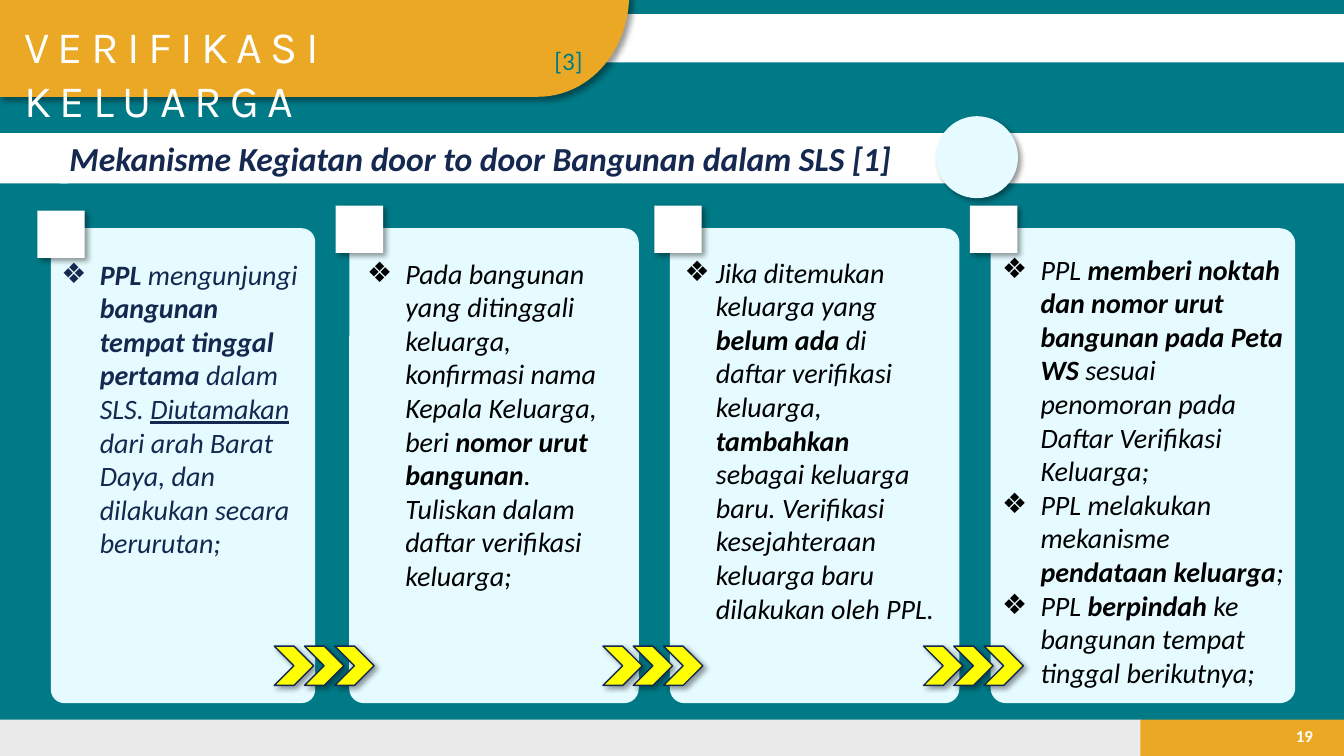
from math import cos, pi, sin

from lxml import etree
from pptx import Presentation
from pptx.dml.color import RGBColor
from pptx.enum.shapes import MSO_SHAPE as SHAPE
from pptx.enum.text import MSO_ANCHOR as ANCHOR, MSO_AUTO_SIZE as AUTO, PP_ALIGN as ALIGN
from pptx.oxml import parse_xml
from pptx.oxml.ns import nsdecls, qn
from pptx.util import Inches, Pt

COLORS = {
    "teal": "017A87", "orange": "EAA824", "gray": "EAEAEA", "white": "FFFFFF",
    "ice": "E5FBFF", "navy": "142850", "yellow": "FFFF00", "black": "000000",
}
RGB = {name: RGBColor.from_string(value) for name, value in COLORS.items()}


def style_shape(sp, fill, line=None, width=1, shadow=False):
    sp.shadow.inherit = False
    sp.fill.solid()
    sp.fill.fore_color.rgb = RGB[fill]
    if line:
        sp.line.color.rgb = RGB[line]
        sp.line.width = Pt(width)
    else:
        sp.line.fill.background()
    if shadow:
        effects = sp.element.spPr.find(qn("a:effectLst"))
        effects.append(parse_xml(
            f'<a:outerShdw {nsdecls("a")} blurRad="{Pt(4)}" dist="{Pt(3)}" dir="2700000" '
            f'algn="tl" rotWithShape="0"><a:srgbClr val="{COLORS["black"]}">'
            '<a:alpha val="40000"/></a:srgbClr></a:outerShdw>'))


def style_text(tf, size, color, font="Calibri", bold=False, italic=False,
               align=ALIGN.LEFT, anchor=ANCHOR.TOP, wrap=True):
    tf.word_wrap = wrap
    tf.auto_size = AUTO.NONE
    tf.vertical_anchor = anchor
    for p in tf.paragraphs:
        p.alignment = align
        for r in p.runs:
            r.font.size = Pt(size)
            r.font.name = font
            r.font.color.rgb = RGB[color]
            r.font.italic = italic
            if bold is not None:
                r.font.bold = bold


prs = Presentation()
prs.slide_width, prs.slide_height = Inches(13.33), Inches(7.5)
s = prs.slides.add_slide(prs.slide_layouts[4])
s.background.fill.solid()
s.background.fill.fore_color.rgb = RGB["teal"]
tree = s.shapes.element
title = s.shapes.title
bodies = [ph for ph in s.placeholders if ph.placeholder_format.idx != 0]

for box, fill in [
    ((11.3, 7.14, 2.03, 0.36), "orange"),
    ((0, 7.14, 11.31, 0.36), "gray"),
    ((5.05, 0.14, 8.28, 0.48), "white"),
]:
    sp = s.shapes.add_shape(SHAPE.RECTANGLE, *map(Inches, box))
    style_shape(sp, fill)

number = s.shapes.add_textbox(Inches(12.65), Inches(7.1), Inches(0.47), Inches(0.4))
number.text_frame.text = "19"
style_text(number.text_frame, 12, "white", bold=True, align=ALIGN.RIGHT, anchor=ANCHOR.MIDDLE)

steps = 24
curve = [(5.34 + 0.9 * cos(i * pi / 2 / steps), -0.05 + 1.01 * sin(i * pi / 2 / steps))
         for i in range(steps + 1)]
banner = s.shapes.build_freeform(Inches(-0.01), Inches(-0.05), scale=1.0)
banner.add_line_segments([(Inches(x), Inches(y)) for x, y in curve + [(-0.01, 0.96)]])
style_shape(banner.convert_to_shape(), "orange", shadow=True)

tree.append(title.element)
title.left, title.top, title.width, title.height = map(Inches, (0.14, 0.14, 5.53, 0.64))
title.text_frame.text = "VERIFIKASI KELUARGA"
style_text(title.text_frame, 32, "white", font="Karla")
title.text_frame.paragraphs[0].runs[0].font._element.set("spc", "600")

cards = [
    {"card": (0.52, 2.59), "tab": (0.37, 2.09), "text": (0.51, 2.5, 2.56, 3.13),
     "indent": 0.38, "color": "navy", "items": [
        [("PPL ", "b"), ("mengunjungi ", ""), ("bangunan tempat tinggal pertama ", "b"),
         ("dalam SLS. ", ""), ("Diutamakan ", "u"),
         ("dari arah Barat Daya, dan dilakukan secara berurutan;", "")]]},
    {"card": (3.48, 2.84), "tab": (3.33, 2.04), "text": (3.54, 2.49, 2.74, 3.8),
     "indent": 0.38, "color": "black", "items": [
        [("Pada bangunan yang ditinggali keluarga, konfirmasi nama Kepala Keluarga, beri ", ""),
         ("nomor urut bangunan", "b"),
         (". Tuliskan dalam daftar verifikasi keluarga;", "")]]},
    {"card": (6.66, 2.84), "tab": (6.49, 2.04), "text": (6.69, 2.48, 2.71, 3.8),
     "indent": 0.31, "color": "black", "items": [
        [("Jika ditemukan keluarga yang ", ""), ("belum ada", "b"),
         (" di daftar verifikasi keluarga, ", ""), ("tambahkan ", "b"),
         ("sebagai keluarga baru. Verifikasi kesejahteraan keluarga baru "
          "dilakukan oleh PPL.", "")]]},
    {"card": (9.84, 2.99), "tab": (9.62, 2.04), "text": (9.84, 2.45, 3.07, 4.48),
     "indent": 0.38, "color": "black", "items": [
        [("PPL ", ""), ("memberi noktah dan nomor urut bangunan pada Peta WS ", "b"),
         ("sesuai penomoran pada Daftar Verifikasi Keluarga;", "")],
        [("PPL melakukan mekanisme ", ""), ("pendataan keluarga", "b"), (";", "")],
        [("PPL ", ""), ("berpindah ", "b"), ("ke bangunan tempat tinggal berikutnya;", "")]]},
]

for card in cards:
    left, width = card["card"]
    sp = s.shapes.add_shape(SHAPE.ROUNDED_RECTANGLE, Inches(left), Inches(2.28),
                            Inches(width), Inches(4.68))
    sp.adjustments[0] = 0.045
    style_shape(sp, "ice", "ice", 2.25)

for left in (2.72, 5.98, 9.16):
    arrows = s.shapes.add_group_shape()
    for i in range(3):
        sp = arrows.shapes.add_shape(SHAPE.CHEVRON, Inches(left + 0.3 * i), Inches(6.41),
                                     Inches(0.39), Inches(0.39))
        style_shape(sp, "yellow", "navy", shadow=True)

for card, body in zip(cards, bodies):
    left, top = card["tab"]
    tab = s.shapes.add_shape(SHAPE.RECTANGLE, Inches(left), Inches(top), Inches(0.47), Inches(0.47))
    style_shape(tab, "white", shadow=True)

    tree.append(body.element)
    body.left, body.top, body.width, body.height = map(Inches, card["text"])
    tf = body.text_frame
    for i, item in enumerate(card["items"]):
        p = tf.add_paragraph() if i else tf.paragraphs[0]
        p.space_before = Pt(0)
        pPr = p._p.get_or_add_pPr()
        pPr.set("marL", str(Inches(card["indent"])))
        pPr.set("indent", str(-Inches(card["indent"])))
        etree.SubElement(pPr, qn("a:buChar")).set("char", "❖")
        for text, mark in item:
            r = p.add_run()
            r.text = text
            r.font.bold = mark == "b"
            r.font.underline = mark == "u"
    style_text(tf, 20, card["color"], bold=None, italic=True)

heading = s.shapes.add_shape(SHAPE.RECTANGLE, Inches(0.59), Inches(1.32), Inches(8.88), Inches(0.5))
style_shape(heading, "white")
heading.text_frame.text = "Mekanisme Kegiatan door to door Bangunan dalam SLS [1]"
style_text(heading.text_frame, 24, "navy", bold=True, italic=True)

for kind, box, fill, line, shadow in [
    (SHAPE.RECTANGLE, (9.84, 1.32, 3.5, 0.5), "white", None, False),
    (SHAPE.OVAL, (9.29, 1.16, 0.8, 0.8), "ice", "ice", True),
    (SHAPE.RECTANGLE, (-0.02, 1.32, 0.7, 0.5), "white", None, False),
]:
    sp = s.shapes.add_shape(kind, *map(Inches, box))
    style_shape(sp, fill, line, shadow=shadow)

part = s.shapes.add_textbox(Inches(5.4), Inches(0.4), Inches(0.48), Inches(0.4))
part.text_frame.text = "[3]"
style_text(part.text_frame, 18, "teal", wrap=False)

prs.save("out.pptx")
